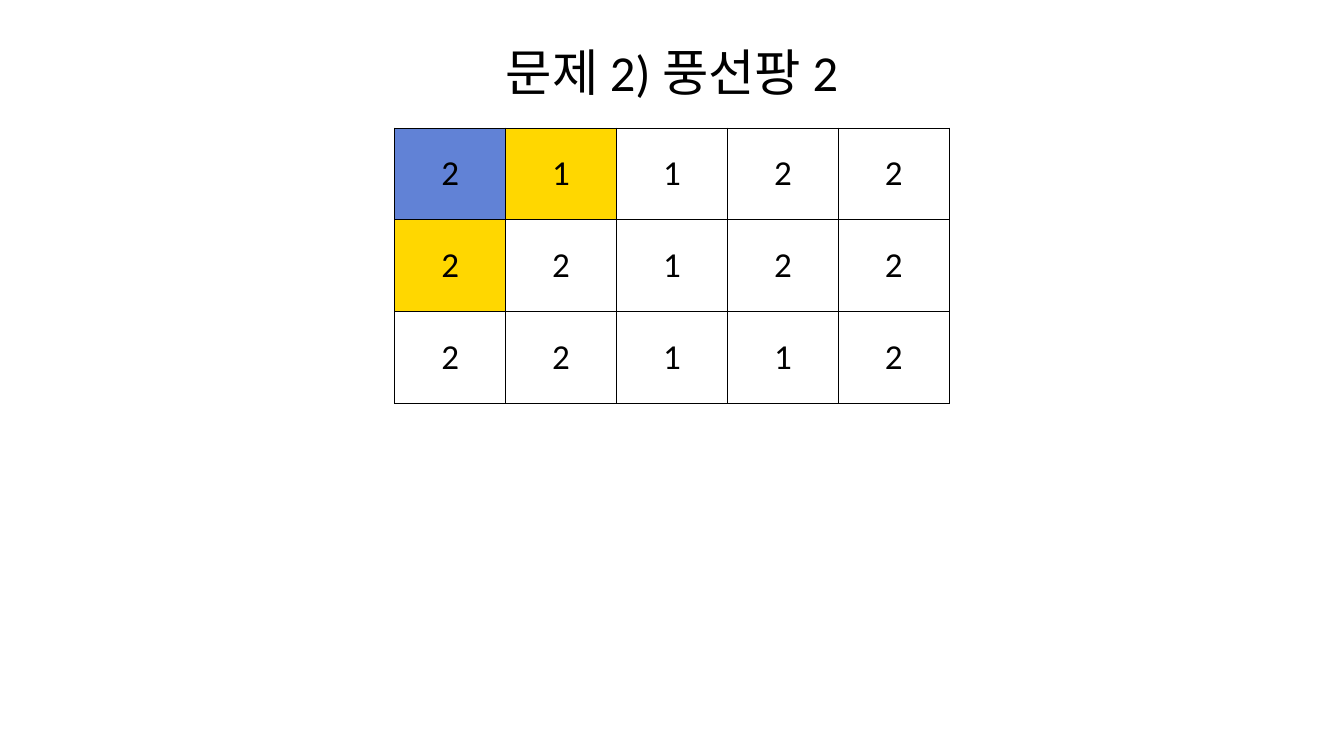
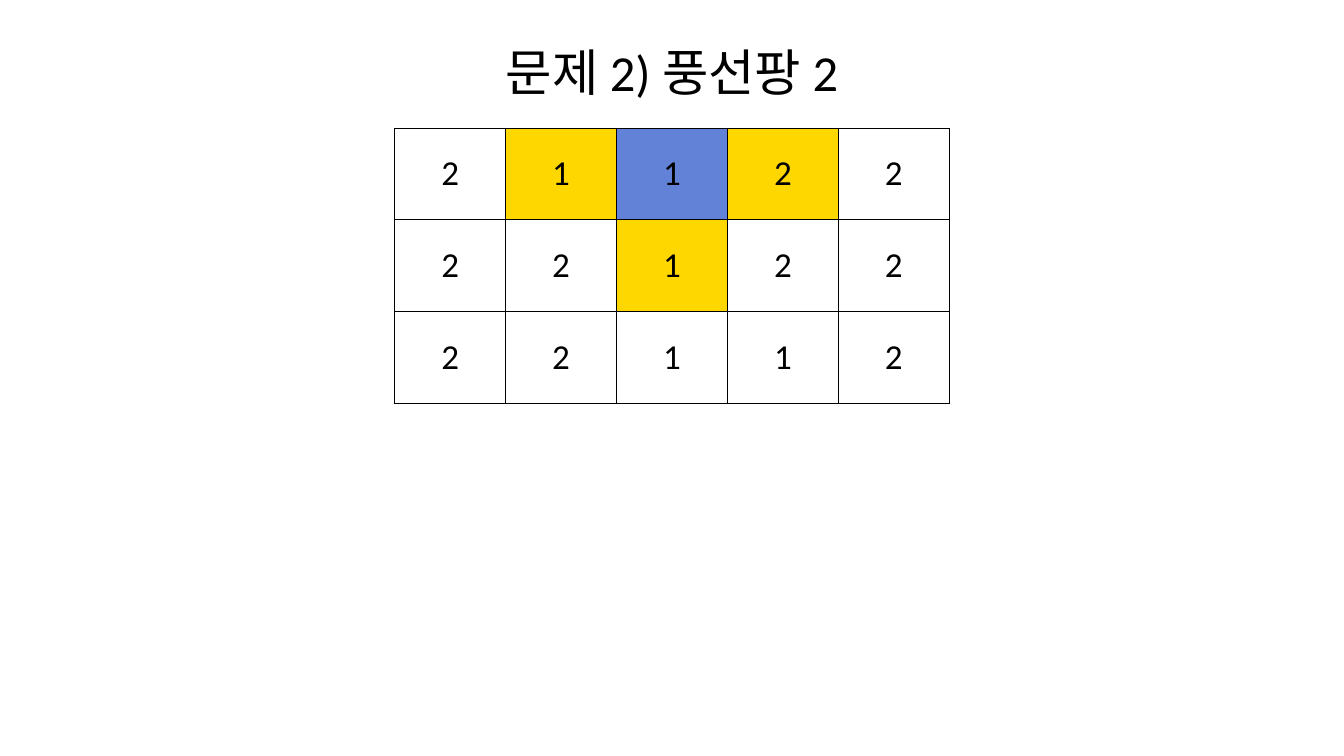
from lxml import etree
from pptx import Presentation
from pptx import util as u
from pptx.dml.color import RGBColor
from pptx.enum import text
from pptx.oxml.ns import qn

BLACK = RGBColor(0x00, 0x00, 0x00)
BLUE = RGBColor(0x61, 0x82, 0xD6)
GOLD = RGBColor(0xFF, 0xD7, 0x00)
WIDTH, HEIGHT = u.Inches(13.33), u.Inches(7.5)
CELL_W, CELL_H = u.Inches(1.1), u.Inches(0.91)
TABLE_TOP = u.Inches(1.27)
FONT = {"name": "Calibri", "bold": False}
TITLE = "문제 2) 풍선팡 2"
BALLOONS = ["21122", "22122", "22112"]
PICKS = [(0, 0), (0, 2)]


def write(tf, content, size):
    p = tf.paragraphs[0]
    p.alignment = text.PP_ALIGN.CENTER
    r = p.add_run()
    r.text = content
    for key, value in {**FONT, "size": u.Pt(size)}.items():
        setattr(r.font, key, value)
    r.font.color.rgb = BLACK


def add_title(s):
    width = int(WIDTH * 0.9)
    box = s.shapes.add_textbox((WIDTH - width) // 2, u.Inches(0.4), width, u.Inches(0.62))
    tf = box.text_frame
    tf.word_wrap = True
    tf.vertical_anchor = text.MSO_ANCHOR.MIDDLE
    write(tf, TITLE, 36)


def add_borders(cell):
    tcPr = cell._tc.get_or_add_tcPr()
    for side in ("lnL", "lnR", "lnT", "lnB"):
        ln = etree.SubElement(tcPr, qn(f"a:{side}"), w=str(u.Pt(0.75)))
        fill = etree.SubElement(ln, qn("a:solidFill"))
        etree.SubElement(fill, qn("a:srgbClr"), val=str(BLACK))


def paint(cell, distance):
    color = {0: BLUE, 1: GOLD}.get(distance)
    if color is None:
        cell.fill.background()
    else:
        cell.fill.solid()
        cell.fill.fore_color.rgb = color


def add_grid(s, pick):
    rows, cols = len(BALLOONS), len(BALLOONS[0])
    width = cols * CELL_W
    table = s.shapes.add_table(rows, cols, (WIDTH - width) // 2, TABLE_TOP,
                               width, rows * CELL_H).table
    table.first_row = table.horz_banding = False
    for i, line in enumerate(BALLOONS):
        for j, value in enumerate(line):
            cell = table.cell(i, j)
            cell.vertical_anchor = text.MSO_ANCHOR.MIDDLE
            write(cell.text_frame, value, 25)
            add_borders(cell)
            paint(cell, abs(i - pick[0]) + abs(j - pick[1]))


def main():
    prs = Presentation()
    prs.slide_width, prs.slide_height = WIDTH, HEIGHT
    for pick in PICKS:
        s = prs.slides.add_slide(prs.slide_layouts[6])
        add_title(s)
        add_grid(s, pick)
    prs.save("out.pptx")


if __name__ == "__main__":
    main()
